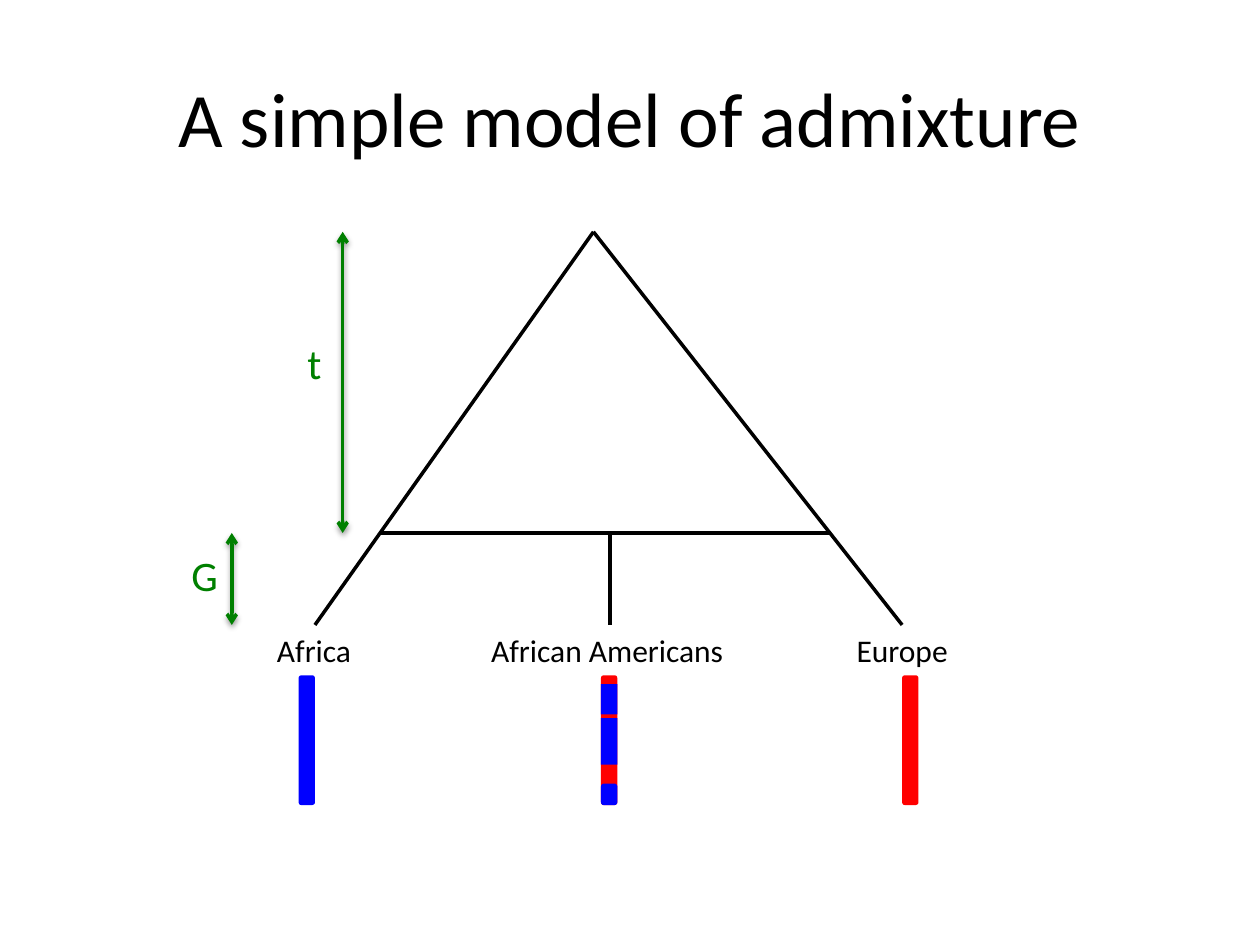
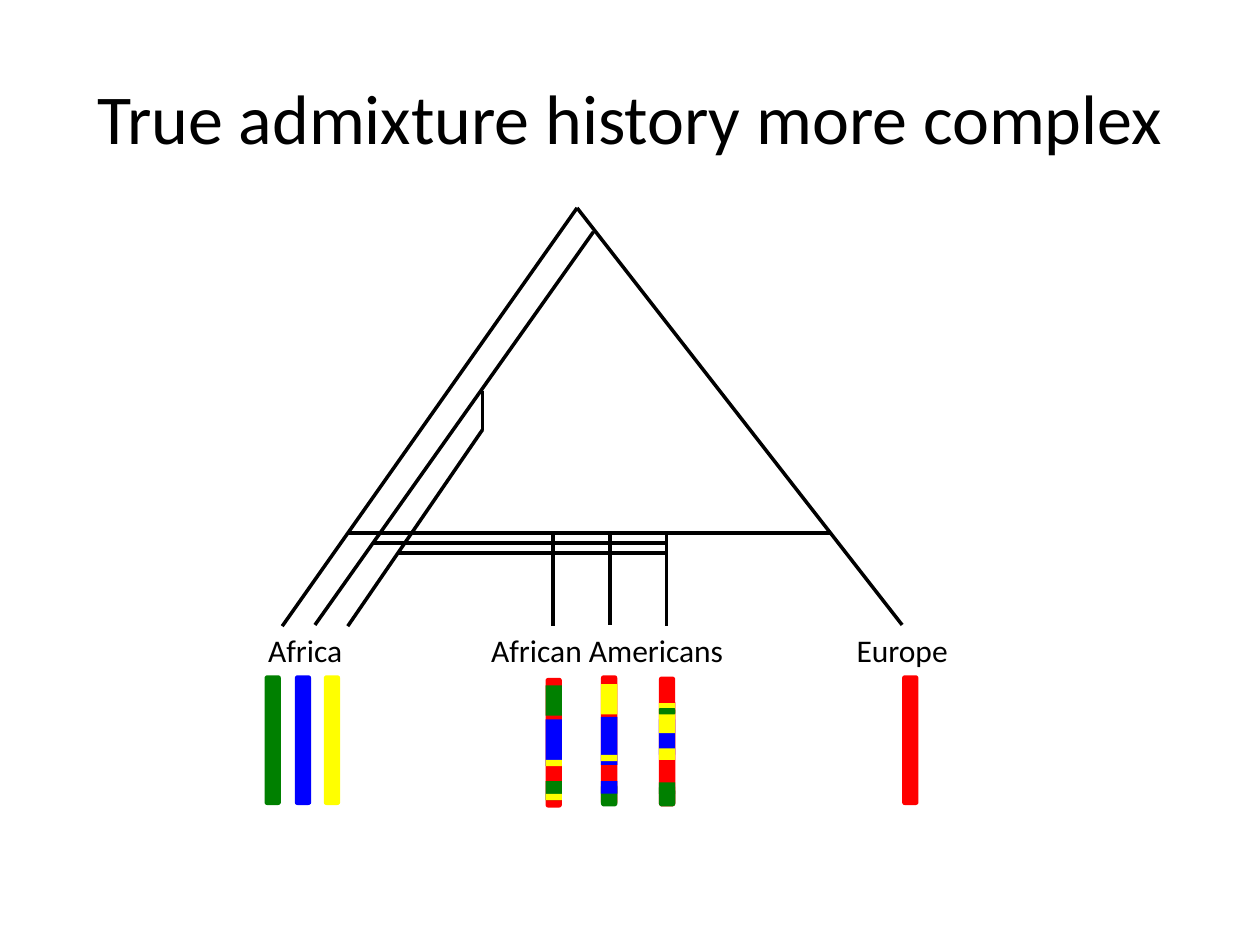
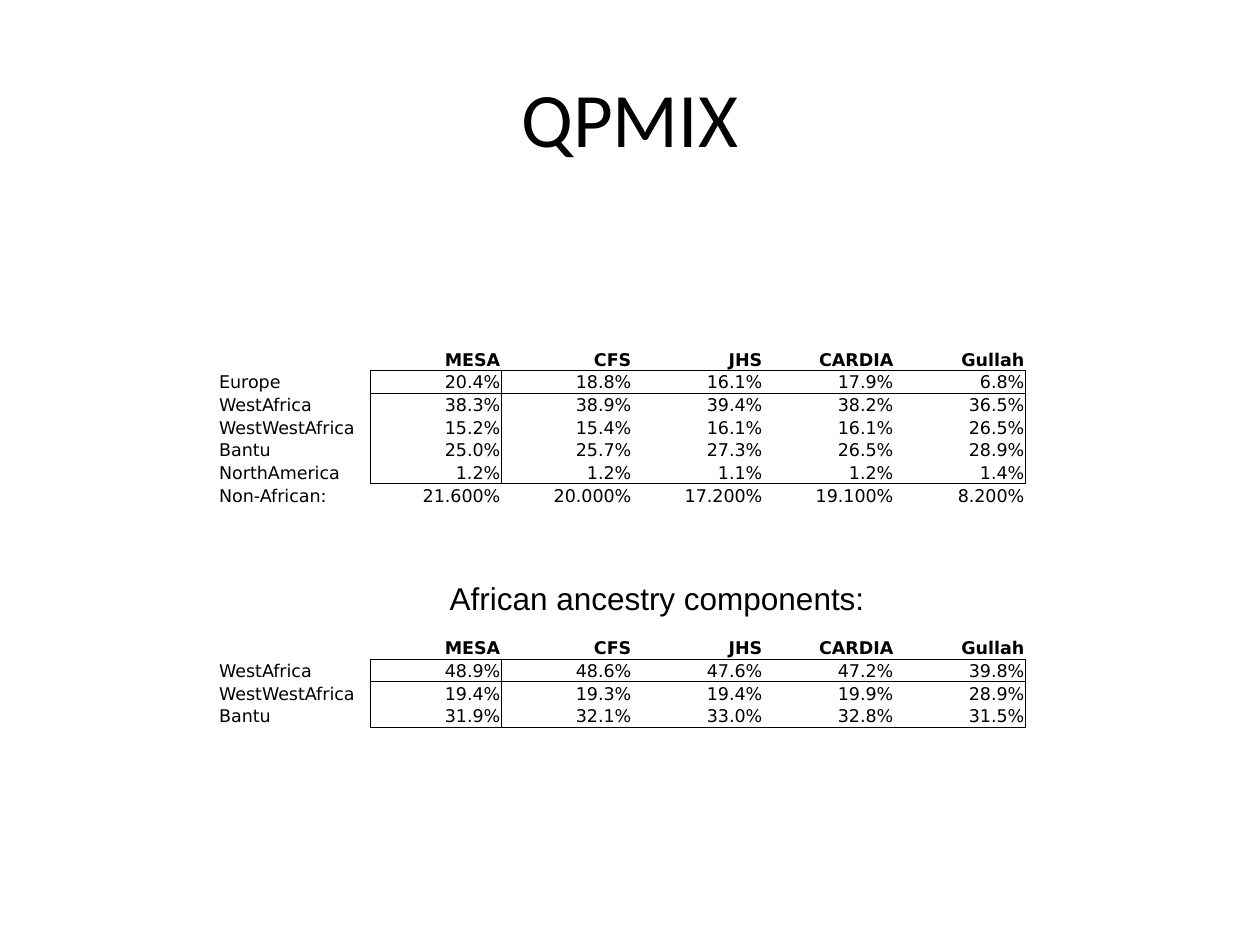
from typing import NamedTuple

from lxml import etree
from pptx import Presentation
from pptx.dml.color import RGBColor
from pptx.enum.shapes import MSO_CONNECTOR, MSO_SHAPE
from pptx.enum.text import MSO_ANCHOR, MSO_AUTO_SIZE, PP_ALIGN
from pptx.oxml.ns import qn
from pptx.util import Emu, Pt

PX = 9144  # 100 px to the inch
STRAIGHT = MSO_CONNECTOR.STRAIGHT
RECTANGLE, ROUNDED = MSO_SHAPE.RECTANGLE, MSO_SHAPE.ROUNDED_RECTANGLE
MIDDLE, BOTTOM = MSO_ANCHOR.MIDDLE, MSO_ANCHOR.BOTTOM
LEFT, CENTER, RIGHT = PP_ALIGN.LEFT, PP_ALIGN.CENTER, PP_ALIGN.RIGHT
FIT_SHAPE = MSO_AUTO_SIZE.SHAPE_TO_FIT_TEXT

BLACK, BLUE, RED, GREEN, YELLOW = "000000", "0000FF", "FF0000", "008000", "FFFF00"
TITLE_FONT, CAPTION_FONT, TABLE_FONT = "Calibri", "Arial", "DejaVu Sans"
NO_TABLE_STYLE = "{2D5ABB26-0587-4C30-8999-92F81FD0307C}"

STRIP_WIDTH, STRIP_HEIGHT, STRIP_TOP = 13, 103, 536
LABEL_TOP = 496
NAME_WIDTH, VALUE_WIDTH, ROW_HEIGHT, TABLE_LEFT = 121, 104, 18, 173


class Segment(NamedTuple):
    top: int
    height: int
    color: str
    rounded: bool = False


class Strip(NamedTuple):
    """A chromosome of one ancestry, overlaid by segments of others."""
    left: int
    color: str
    top: int = STRIP_TOP
    segments: tuple[Segment, ...] = ()


class Branch(NamedTuple):
    x1: int
    y1: int
    x2: int
    y2: int


class Label(NamedTuple):
    text: str
    left: int
    top: int
    width: int
    height: int = 40
    size: int = 18
    color: str = BLACK
    font: str = TITLE_FONT


class AncestryTable(NamedTuple):
    top: int
    boxed_rows: int
    border: float
    rows: tuple[tuple[str, ...], ...]


COMMON_BRANCHES = (Branch(471, 184, 250, 496), Branch(484, 423, 484, 496))
COMMON_LABELS = (Label("Europe", 670, LABEL_TOP, 93),
                 Label("African Americans", 380, LABEL_TOP, 207))
EUROPE_STRIP = Strip(716, RED)

SIMPLE_BRANCHES = (Branch(471, 184, 716, 496), Branch(302, 423, 659, 423))
SIMPLE_LABELS = (Label("Africa", 210, LABEL_TOP, 80),
                 Label("t", 234, 263, 32, 50, 24, GREEN),
                 Label("G", 142, 431, 42, 50, 24, GREEN))
SIMPLE_STRIPS = (
    Strip(237, BLUE),
    Strip(477, RED, segments=(Segment(622, 17, BLUE, True),
                              Segment(570, 37, BLUE), Segment(543, 24, BLUE))),
)
TIME_SPANS = (Branch(272, 423, 272, 184), Branch(184, 496, 184, 423))

COMPLEX_BRANCHES = (
    Branch(458, 165, 716, 496), Branch(458, 165, 224, 497),
    Branch(383, 341, 276, 497), Branch(383, 310, 383, 341),
    Branch(276, 423, 659, 423), Branch(297, 431, 529, 431),
    Branch(316, 439, 529, 439), Branch(439, 424, 439, 497),
    Branch(529, 424, 529, 497),
)
COMPLEX_LABELS = (Label("Africa", 203, LABEL_TOP, 80),)
COMPLEX_STRIPS = (
    Strip(210, GREEN), Strip(234, BLUE), Strip(257, YELLOW),
    Strip(433, RED, 538, (
        Segment(571, 37, BLUE), Segment(544, 24, GREEN), Segment(603, 5, YELLOW),
        Segment(620, 15, GREEN), Segment(630, 5, YELLOW))),
    Strip(477, RED, segments=(
        Segment(622, 18, GREEN, True), Segment(569, 38, BLUE),
        Segment(543, 24, YELLOW), Segment(599, 5, YELLOW), Segment(620, 10, BLUE))),
    Strip(523, RED, 537, (
        Segment(623, 17, GREEN, True), Segment(571, 28, BLUE),
        Segment(558, 24, YELLOW), Segment(594, 9, YELLOW),
        Segment(562, 5, GREEN, True), Segment(621, 9, GREEN))),
)

COHORTS = ("", "MESA", "CFS", "JHS", "CARDIA", "Gullah")
ALL_ANCESTRY = AncestryTable(276, 5, 0.5, (
    ("Europe", "20.4%", "18.8%", "16.1%", "17.9%", "6.8%"),
    ("WestAfrica", "38.3%", "38.9%", "39.4%", "38.2%", "36.5%"),
    ("WestWestAfrica", "15.2%", "15.4%", "16.1%", "16.1%", "26.5%"),
    ("Bantu", "25.0%", "25.7%", "27.3%", "26.5%", "28.9%"),
    ("NorthAmerica", "1.2%", "1.2%", "1.1%", "1.2%", "1.4%"),
    ("Non-African:", "21.600%", "20.000%", "17.200%", "19.100%", "8.200%"),
))
AFRICAN_ANCESTRY = AncestryTable(505, 3, 0.25, (
    ("WestAfrica", "48.9%", "48.6%", "47.6%", "47.2%", "39.8%"),
    ("WestWestAfrica", "19.4%", "19.3%", "19.4%", "19.9%", "28.9%"),
    ("Bantu", "31.9%", "32.1%", "33.0%", "32.8%", "31.5%"),
))
AFRICAN_CAPTION = Label("African ancestry components:", 347, 455, 354, font=CAPTION_FONT)


def px(*lengths: int) -> list[Emu]:
    return [Emu(length * PX) for length in lengths]


def rgb(color: str) -> RGBColor:
    return RGBColor.from_string(color)


def add_run(paragraph, text: str, size: int, font: str, color: str = BLACK,
            bold: bool = False) -> None:
    run = paragraph.add_run()
    run.text = text
    run.font.size = Pt(size)
    run.font.name = font
    run.font.bold = bold
    run.font.color.rgb = rgb(color)


def add_titled_slide(presentation, title: str, size: int = 44):
    slide = presentation.slides.add_slide(presentation.slide_layouts[5])
    shape = slide.shapes.title
    shape.left, shape.top, shape.width, shape.height = px(50, 30, 900, 125)
    shape.text_frame.vertical_anchor = MIDDLE
    paragraph = shape.text_frame.paragraphs[0]
    paragraph.alignment = CENTER
    add_run(paragraph, title, size, TITLE_FONT)
    return slide


def add_branch(slide, branch: Branch, color: str = BLACK):
    connector = slide.shapes.add_connector(STRAIGHT, *px(*branch))
    connector.line.width = Pt(2)
    connector.line.color.rgb = rgb(color)
    effects = etree.SubElement(connector._element.spPr, qn("a:effectLst"))
    return connector, effects


def add_time_span(slide, span: Branch) -> None:
    """Draw a green double arrow with a soft shadow below it."""
    connector, effects = add_branch(slide, span, GREEN)
    line = connector.line._get_or_add_ln()
    for end in ("a:headEnd", "a:tailEnd"):
        etree.SubElement(line, qn(end), type="arrow")
    shadow = etree.SubElement(effects, qn("a:outerShdw"), blurRad="40000",
                              dist="20000", dir="5400000", rotWithShape="0")
    shade = etree.SubElement(shadow, qn("a:srgbClr"), val=BLACK)
    etree.SubElement(shade, qn("a:alpha"), val="38000")


def add_label(slide, label: Label) -> None:
    box = slide.shapes.add_textbox(*px(label.left, label.top, label.width, label.height))
    box.text_frame.word_wrap = False
    box.text_frame.auto_size = FIT_SHAPE
    add_run(box.text_frame.paragraphs[0], label.text, label.size, label.font, label.color)


def add_strip(slide, strip: Strip) -> None:
    whole = Segment(strip.top, STRIP_HEIGHT, strip.color, True)
    for segment in (whole, *strip.segments):
        shape = slide.shapes.add_shape(
            ROUNDED if segment.rounded else RECTANGLE,
            *px(strip.left, segment.top, STRIP_WIDTH, segment.height))
        shape.shadow.inherit = False
        shape.fill.solid()
        shape.fill.fore_color.rgb = rgb(segment.color)
        shape.line.fill.background()


def add_tree(slide, branches: tuple[Branch, ...], labels: tuple[Label, ...],
             strips: tuple[Strip, ...]) -> None:
    for branch in COMMON_BRANCHES + branches:
        add_branch(slide, branch)
    for label in COMMON_LABELS + labels:
        add_label(slide, label)
    for strip in (EUROPE_STRIP, *strips):
        add_strip(slide, strip)


def add_border(cell, side: str, width: float) -> None:
    line = etree.SubElement(cell._tc.get_or_add_tcPr(), qn(f"a:ln{side}"),
                            w=str(Pt(width)))
    fill = etree.SubElement(line, qn("a:solidFill"))
    etree.SubElement(fill, qn("a:srgbClr"), val=BLACK)


def fill_cell(cell, text: str, alignment, bold: bool) -> None:
    cell.fill.background()
    cell.vertical_anchor = BOTTOM
    cell.margin_left, cell.margin_right, cell.margin_top, cell.margin_bottom = px(1, 1, 1, 0)
    paragraph = cell.text_frame.paragraphs[0]
    paragraph.alignment = alignment
    if text:
        add_run(paragraph, text, 10, TABLE_FONT, bold=bold)
    else:
        etree.SubElement(paragraph._p, qn("a:endParaRPr"), sz="1000")


def add_ancestry_table(slide, ancestry: AncestryTable) -> None:
    """Draw a table whose percentages are framed by one box."""
    rows = (COHORTS, *ancestry.rows)
    values = len(COHORTS) - 1
    width = NAME_WIDTH + values * VALUE_WIDTH
    frame = slide.shapes.add_table(
        len(rows), len(COHORTS),
        *px(TABLE_LEFT, ancestry.top, width, len(rows) * ROW_HEIGHT))
    table = frame.table
    table.first_row = table.horz_banding = False
    table._tbl.tblPr.find(qn("a:tableStyleId")).text = NO_TABLE_STYLE
    for index, column in enumerate(table.columns):
        column.width, = px(VALUE_WIDTH if index else NAME_WIDTH)

    def boxed(row: int, column: int) -> bool:
        return 1 <= row <= ancestry.boxed_rows and 1 <= column <= values

    neighbours = {"L": (0, -1), "R": (0, 1), "T": (-1, 0), "B": (1, 0)}
    for row, texts in enumerate(rows):
        table.rows[row].height, = px(ROW_HEIGHT)
        for column, text in enumerate(texts):
            cell = table.cell(row, column)
            for side, (down, across) in neighbours.items():
                if boxed(row, column) != boxed(row + down, column + across):
                    add_border(cell, side, ancestry.border)
            fill_cell(cell, text, RIGHT if column else LEFT, bold=row == 0)


def main() -> None:
    presentation = Presentation()
    presentation.slide_width, presentation.slide_height = px(1000, 750)

    simple = add_titled_slide(presentation, "A simple model of admixture")
    add_tree(simple, SIMPLE_BRANCHES, SIMPLE_LABELS, SIMPLE_STRIPS)
    for span in TIME_SPANS:
        add_time_span(simple, span)

    history = add_titled_slide(presentation, "True admixture history more complex", 40)
    add_tree(history, COMPLEX_BRANCHES, COMPLEX_LABELS, COMPLEX_STRIPS)

    results = add_titled_slide(presentation, "QPMIX")
    add_ancestry_table(results, ALL_ANCESTRY)
    add_ancestry_table(results, AFRICAN_ANCESTRY)
    add_label(results, AFRICAN_CAPTION)

    presentation.save("out.pptx")


if __name__ == "__main__":
    main()
